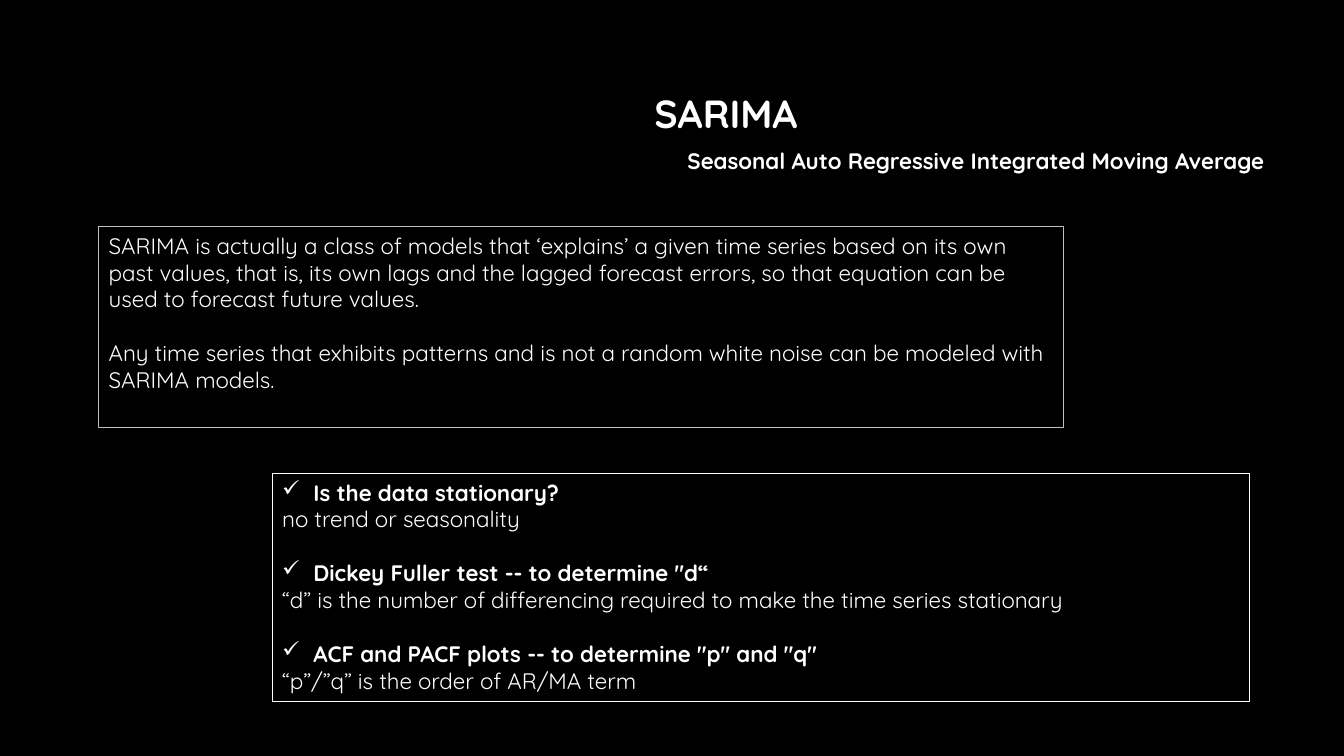
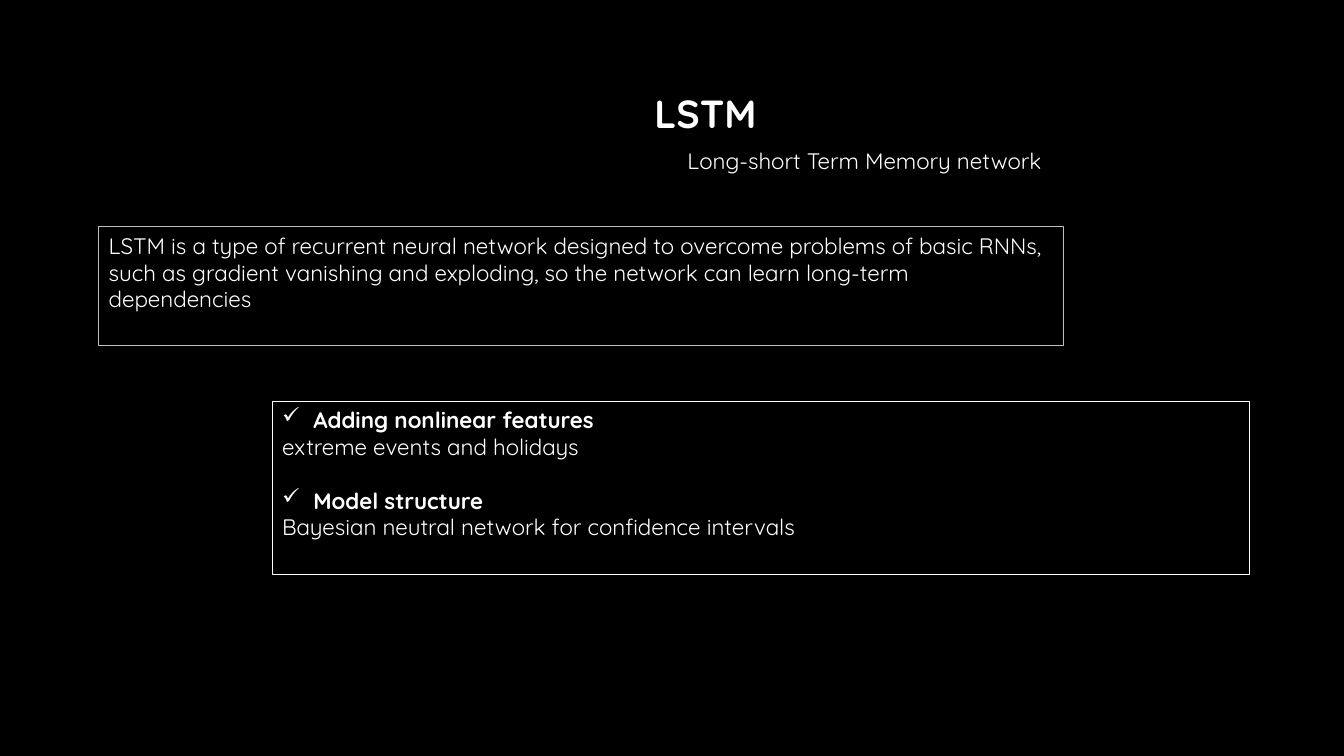
from lxml.etree import SubElement
from pptx import Presentation
from pptx.dml.color import RGBColor
from pptx.enum.shapes import MSO_SHAPE
from pptx.enum.text import MSO_ANCHOR, PP_ALIGN
from pptx.oxml.ns import qn
from pptx.util import Inches, Pt

# Content: each point is a bold heading and its explanation
SLIDES = [
    {
        "title": "SARIMA",
        "subtitle": "Seasonal Auto Regressive Integrated Moving Average",
        "subtitle_bold": True,
        "summary": [
            "SARIMA is actually a class of models that ‘explains’ a given time series "
            "based on its own past values, that is, its own lags and the lagged forecast "
            "errors, so that equation can be used to forecast future values.",
            "Any time series that exhibits patterns and is not a random white noise can "
            "be modeled with SARIMA models.",
        ],
        "summary_height": 1.99,
        "points": [
            ("Is the data stationary?", "no trend or seasonality"),
            ('Dickey Fuller test -- to determine "d“',
             "“d” is the number of differencing required to make the time series stationary"),
            ('ACF and PACF plots -- to determine "p" and "q"',
             "“p”/”q” is the order of AR/MA term"),
        ],
        "points_top": 4.7,
        "points_height": 2.26,
    },
    {
        "title": "LSTM",
        "subtitle": "Long-short Term Memory network",
        "subtitle_bold": False,
        "summary": [
            "LSTM is a type of recurrent neural network designed to overcome problems of "
            "basic RNNs, such as gradient vanishing and exploding, so the network can "
            "learn long-term dependencies",
        ],
        "summary_height": 1.18,
        "points": [
            ("Adding nonlinear features", "extreme events and holidays"),
            ("Model structure", "Bayesian neutral network for confidence intervals"),
        ],
        "points_top": 3.98,
        "points_height": 1.72,
    },
]

# Shared style
COLORS = {"background": "000000", "text": "FFFFFF",
          "summary_line": "BFBFBF", "points_line": "FFFFFF"}
FONT = "Quicksand"
TITLE_SIZE, BODY_SIZE = 28, 16
GROUP_GAP = 19.2
BULLET_INDENT = Inches(0.31)


def color(name):
    return RGBColor.from_string(COLORS[name])


def add_text(frame, text, size=BODY_SIZE, bold=False, bullet=None, gap=0):
    """Write one paragraph, using the frame's first one while it is empty."""
    paragraph = frame.paragraphs[0]
    if paragraph.runs:
        paragraph = frame.add_paragraph()
    frame.word_wrap = True
    frame.vertical_anchor = MSO_ANCHOR.TOP
    paragraph.alignment = PP_ALIGN.LEFT
    paragraph.space_before = Pt(gap)
    run = paragraph.add_run()
    run.text = text
    run.font.name = FONT
    run.font.size = Pt(size)
    run.font.bold = bold
    run.font.color.rgb = color("text")
    if bullet:
        properties = paragraph._p.get_or_add_pPr()
        properties.set("marL", str(BULLET_INDENT))
        properties.set("indent", str(-BULLET_INDENT))
        SubElement(properties, qn("a:buChar")).set("char", bullet)


def add_outlined_box(slide, left, top, width, height, line):
    box = slide.shapes.add_shape(MSO_SHAPE.RECTANGLE, Inches(left), Inches(top),
                                 Inches(width), Inches(height))
    box.shadow.inherit = False
    box.fill.background()
    box.line.color.rgb = color(line)
    box.line.width = Pt(0.75)
    return box.text_frame


def add_model_slide(presentation, content):
    slide = presentation.slides.add_slide(presentation.slide_layouts[5])

    # Title and subtitle
    title = slide.shapes.title
    title.left, title.top = Inches(6.39), Inches(0.84)
    title.width, title.height = Inches(5.89), Inches(0.57)
    add_text(title.text_frame, content["title"], size=TITLE_SIZE, bold=True)
    subtitle = slide.shapes.add_textbox(Inches(6.72), Inches(1.41),
                                        Inches(6.5), Inches(0.37))
    add_text(subtitle.text_frame, content["subtitle"], bold=content["subtitle_bold"])

    # Summary box
    summary = add_outlined_box(slide, 0.98, 2.25, 9.57, content["summary_height"],
                               "summary_line")
    for index, text in enumerate(content["summary"]):
        add_text(summary, text, gap=GROUP_GAP if index else 0)

    # Checklist box
    points = add_outlined_box(slide, 2.7, content["points_top"], 9.69,
                              content["points_height"], "points_line")
    for index, (heading, detail) in enumerate(content["points"]):
        add_text(points, heading, bold=True, bullet="✓", gap=GROUP_GAP if index else 0)
        add_text(points, detail)


def main():
    presentation = Presentation()
    presentation.slide_width = Inches(13.33)
    presentation.slide_height = Inches(7.5)
    background = presentation.slide_master.background.fill
    background.solid()
    background.fore_color.rgb = color("background")
    for content in SLIDES:
        add_model_slide(presentation, content)
    presentation.save("out.pptx")


if __name__ == "__main__":
    main()
